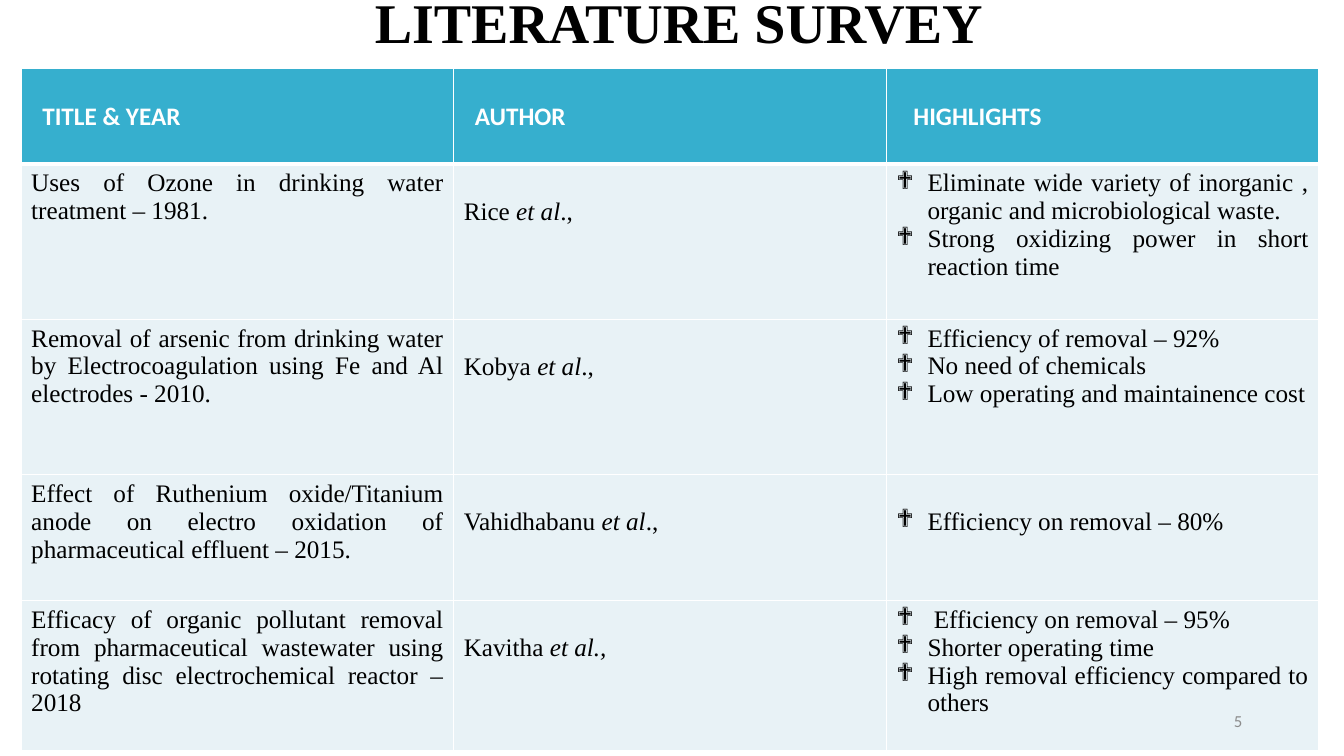
from lxml.etree import SubElement as Sub
from pptx import Presentation
from pptx.dml.color import RGBColor as RGB
from pptx.enum.text import MSO_ANCHOR as Anchor, PP_ALIGN as Align
from pptx.oxml.ns import qn
from pptx.util import Inches, Pt

SERIF, SANS = "Times New Roman", "Calibri"
BLACK, WHITE, GREY = "000000", "FFFFFF", "8C8C8C"
TEAL, PALE = "36AFCE", "E8F2F6"
WIDE, HIGH = 13.33, 7.5
LEFT, TOP, COL = 0.21, 0.68, 4.29
ROWS = [0.95, 1.54, 1.54, 1.25, 1.49]
PAD, LINE, HANG = 0.05, 0.28, 0.31

HEADS = [("TITLE & YEAR", 0.21), ("AUTHOR", 0.21), ("HIGHLIGHTS", 0.27)]
STUDIES = [
    ("Uses of Ozone in drinking water treatment – 1981.",
     ("Rice ", "et al", ".,"),
     ["Eliminate wide variety of inorganic , organic and microbiological waste.",
      "Strong oxidizing power in short reaction time"], 0),
    ("Removal of arsenic from drinking water by Electrocoagulation using Fe and Al electrodes - 2010.",
     ("Kobya ", "et al", ".,"),
     ["Efficiency of removal – 92%", "No need of chemicals",
      "Low operating and maintainence cost"], 0),
    ("Effect of Ruthenium oxide/Titanium anode on electro oxidation of pharmaceutical effluent – 2015.",
     ("Vahidhabanu ", "et al", ".,"),
     ["Efficiency on removal – 80%"], 1),
    ("Efficacy of organic pollutant removal from pharmaceutical wastewater using rotating disc electrochemical reactor – 2018",
     ("Kavitha ", "et al.,"),
     [" Efficiency on removal – 95%", "Shorter operating time",
      "High removal efficiency compared to others"], 0),
]


def paint(hue):
    return RGB.from_string(hue)


def write(para, text, size=18, face=SERIF, hue=BLACK, bold=False, slant=False):
    run = para.add_run()
    run.text = text
    font = run.font
    font.size, font.name, font.bold, font.italic = Pt(size), face, bold, slant
    font.color.rgb = paint(hue)


def bullet(para):
    props = para._p.get_or_add_pPr()
    props.set("marL", str(Inches(HANG)))
    props.set("indent", str(-Inches(HANG)))
    Sub(props, qn("a:buFont")).set("typeface", "Wingdings")
    Sub(props, qn("a:buChar")).set("char", "❖")


def frame(cell, row):
    props = cell._tc.get_or_add_tcPr()
    thick = {"L": 1, "R": 1, "T": 3 if row == 1 else 1, "B": 1 if row else 3}
    for spot, (side, width) in enumerate(thick.items()):
        edge = Sub(props, qn("a:ln" + side))
        edge.set("w", str(Pt(width)))
        fill = Sub(edge, qn("a:solidFill"))
        Sub(fill, qn("a:srgbClr")).set("val", WHITE)
        props.insert(spot, edge)


def box(slide, left, top, width, height):
    shape = slide.shapes.add_textbox(*map(Inches, (left, top, width, height)))
    shape.text_frame.word_wrap = True
    return shape.text_frame


def build():
    deck = Presentation()
    deck.slide_width, deck.slide_height = Inches(WIDE), Inches(HIGH)
    slide = deck.slides.add_slide(deck.slide_layouts[6])

    grid = slide.shapes.add_table(
        len(ROWS), len(HEADS), Inches(LEFT), Inches(TOP),
        Inches(COL * len(HEADS)), Inches(sum(ROWS))).table
    grid.first_row = grid.horz_banding = False
    for col in grid.columns:
        col.width = Inches(COL)
    for row, tall in enumerate(ROWS):
        grid.rows[row].height = Inches(tall)
        for cell in grid.rows[row].cells:
            cell.fill.solid()
            cell.fill.fore_color.rgb = paint(PALE if row else TEAL)
            frame(cell, row)

    for col, (head, inset) in enumerate(HEADS):
        cell = grid.cell(0, col)
        cell.margin_left, cell.margin_top = Inches(inset), Inches(PAD + LINE)
        write(cell.text_frame.paragraphs[0], head, face=SANS, hue=WHITE, bold=True)

    for row, (title, author, points, skip) in enumerate(STUDIES, 1):
        para = grid.cell(row, 0).text_frame.paragraphs[0]
        para.alignment = Align.JUSTIFY
        write(para, title)

        cell = grid.cell(row, 1)
        cell.margin_top = Inches(PAD + LINE)
        for part in author:
            write(cell.text_frame.paragraphs[0], part, slant=part.startswith("et al"))

        cell = grid.cell(row, 2)
        cell.margin_top = Inches(PAD + LINE * skip)
        body = cell.text_frame
        for spot, point in enumerate(points):
            para = body.add_paragraph() if spot else body.paragraphs[0]
            para.alignment = Align.JUSTIFY
            bullet(para)
            write(para, point)

    title = box(slide, 3.62, -0.17, 7.07, 0.77)
    write(title.paragraphs[0], "LITERATURE SURVEY", 40, bold=True)

    page = box(slide, 9.42, 6.95, 3, 0.4)
    page.vertical_anchor = Anchor.MIDDLE
    page.paragraphs[0].alignment = Align.RIGHT
    write(page.paragraphs[0], "5", 12, SANS, GREY)

    deck.save("out.pptx")


if __name__ == "__main__":
    build()
